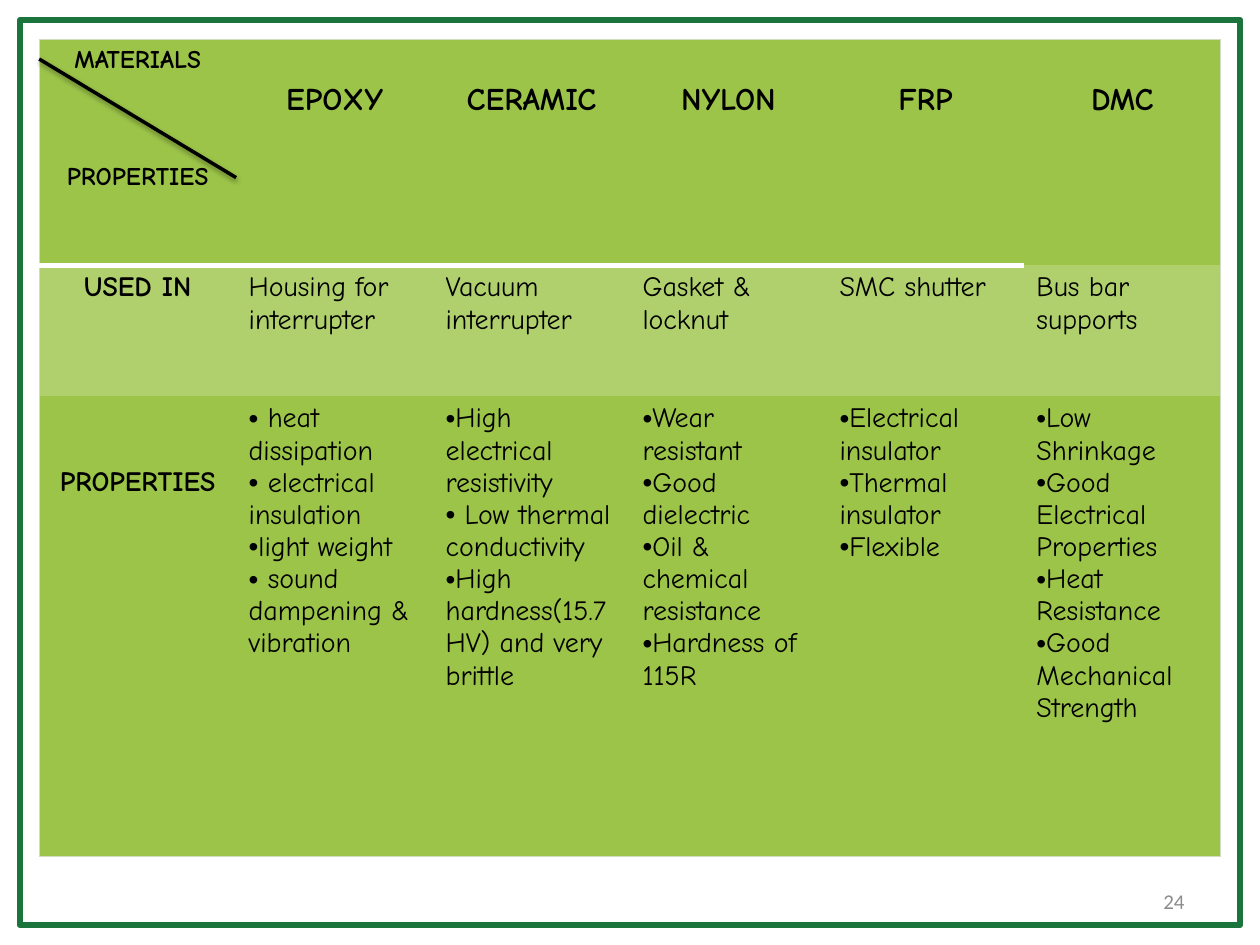
from lxml.etree import SubElement
from pptx import Presentation
from pptx.dml.color import RGBColor
from pptx.enum.shapes import MSO_CONNECTOR, MSO_SHAPE
from pptx.enum.text import MSO_ANCHOR, PP_ALIGN
from pptx.oxml import parse_xml
from pptx.oxml.ns import nsdecls, qn
from pptx.util import Cm, Pt

COLOURS = {
    "frame": "1A743C",
    "green": "9CC449",
    "light green": "B0D06D",
    "edge": "D0DCBF",
    "rule": "FFFFFF",
    "ink": "000000",
    "number": "8C8C8C",
}
NO_STYLE = "{2D5ABB26-0587-4C30-8999-92F81FD0307C}"
LEFT, TOP = 0.79, 0.79
COLUMN_WIDTH = 3.97
ROW_HEIGHTS = [4.56, 2.64, 9.28]

MATERIALS = ["EPOXY", "CERAMIC", "NYLON", "FRP", "DMC"]
USES = ["Housing for interrupter", "Vacuum interrupter", "Gasket & locknut",
        "SMC shutter", "Bus bar supports"]
PROPERTIES = [
    [" heat dissipation", " electrical insulation ", "light weight",
     " sound dampening & vibration"],
    ["High electrical resistivity", " Low thermal conductivity",
     "High hardness(15.7 HV) and very brittle"],
    ["Wear resistant", "Good dielectric", "Oil & chemical resistance",
     "Hardness of 115R"],
    ["Electrical insulator", "Thermal insulator", "Flexible"],
    ["Low Shrinkage", "Good Electrical Properties", "Heat Resistance",
     "Good Mechanical Strength"],
]


def colour(name):
    return RGBColor.from_string(COLOURS[name])


class SlideBuilder:
    def __init__(self, page, font="Comic Neue"):
        self.page = page
        self.font = font

    def style(self, paragraph, size, bold=False, ink="ink", font=None):
        for span in paragraph.runs:
            span.font.name = font or self.font
            span.font.size = Pt(size)
            span.font.bold = bold
            span.font.color.rgb = colour(ink)

    def frame(self, left, top, width, height):
        box = self.page.shapes.add_shape(
            MSO_SHAPE.RECTANGLE, Cm(left), Cm(top), Cm(width), Cm(height))
        box.shadow.inherit = False
        box.fill.background()
        box.line.color.rgb = colour("frame")
        box.line.width = Pt(3.5)

    def page_number(self, text, left, top, width, height):
        box = self.page.shapes.add_textbox(Cm(left), Cm(top), Cm(width), Cm(height))
        text_frame = box.text_frame
        text_frame.word_wrap = True
        text_frame.vertical_anchor = MSO_ANCHOR.MIDDLE
        text_frame.text = text
        paragraph = text_frame.paragraphs[0]
        paragraph.alignment = PP_ALIGN.RIGHT
        self.style(paragraph, 12, ink="number", font="Calibri")

    def table(self, left, top, column_width, column_count, row_heights):
        """Add an unstyled table whose rows alternate between the two greens."""
        graphic = self.page.shapes.add_table(
            len(row_heights), column_count, Cm(left), Cm(top),
            Cm(column_width * column_count), Cm(sum(row_heights)))
        table = graphic.table
        table.first_row = table.horz_banding = False
        table._tbl.tblPr.find(qn("a:tableStyleId")).text = NO_STYLE
        for column in table.columns:
            column.width = Cm(column_width)
        for index, (row, height) in enumerate(zip(table.rows, row_heights)):
            row.height = Cm(height)
            for cell in row.cells:
                cell.fill.solid()
                cell.fill.fore_color.rgb = colour("light green" if index % 2 else "green")
        return table

    def borders(self, table):
        """Draw the thin outer edge, and the header rule under all but the last column."""
        last_row, last_column = len(table.rows) - 1, len(table.columns) - 1
        for row in range(last_row + 1):
            for column in range(last_column + 1):
                sides = {}
                if column == 0:
                    sides["lnL"] = ("edge", 0.75)
                if column == last_column:
                    sides["lnR"] = ("edge", 0.75)
                if row == 0:
                    sides["lnT"] = ("edge", 0.75)
                    if column < last_column:
                        sides["lnB"] = ("rule", 3)
                if row == last_row:
                    sides["lnB"] = ("edge", 0.75)
                properties = table.cell(row, column)._tc.get_or_add_tcPr()
                for position, (side, (name, width)) in enumerate(sides.items()):
                    properties.insert(position, parse_xml(
                        f'<a:{side} {nsdecls("a")} w="{Pt(width)}"><a:solidFill>'
                        f'<a:srgbClr val="{COLOURS[name]}"/></a:solidFill></a:{side}>'))

    def cell_text(self, cell, lines, size=16, bold=False, centred=False,
                  bullet=False, margin_top=0.13, gap=0):
        """Fill a cell with one paragraph a line; gap is the points between them."""
        cell.margin_top = Cm(margin_top)
        cell.text_frame.text = "\n".join(lines)
        for index, paragraph in enumerate(cell.text_frame.paragraphs):
            if centred:
                paragraph.alignment = PP_ALIGN.CENTER
            if index and gap:
                paragraph.space_before = Pt(gap)
            if bullet:
                properties = paragraph._p.get_or_add_pPr()
                SubElement(properties, qn("a:buFont"), typeface="Arial")
                SubElement(properties, qn("a:buChar"), char="•")
            self.style(paragraph, size, bold)

    def diagonal(self, left, top, right, bottom):
        line = self.page.shapes.add_connector(
            MSO_CONNECTOR.STRAIGHT, Cm(left), Cm(top), Cm(right), Cm(bottom))
        line.line.color.rgb = colour("ink")
        line.line.width = Pt(2)
        line._element.spPr.append(parse_xml(
            f'<a:effectLst {nsdecls("a")}><a:outerShdw blurRad="{Pt(3.1)}" '
            f'dist="{Pt(1.6)}" dir="5400000" rotWithShape="0">'
            f'<a:srgbClr val="{COLOURS["ink"]}"><a:alpha val="38000"/></a:srgbClr>'
            '</a:outerShdw></a:effectLst>'))


def main():
    deck = Presentation()
    deck.slide_width, deck.slide_height = Cm(25.4), Cm(19.05)
    builder = SlideBuilder(deck.slides.add_slide(deck.slide_layouts[6]))

    builder.frame(0.4, 0.4, 24.6, 18.25)
    builder.page_number("24", 18.21, 17.65, 5.92, 1.02)

    table = builder.table(LEFT, TOP, COLUMN_WIDTH, len(MATERIALS) + 1, ROW_HEIGHTS)
    builder.borders(table)
    heading = {"bold": True, "centred": True}
    builder.cell_text(table.cell(0, 0), ["MATERIALS", "PROPERTIES"],
                      size=14.5, gap=50, **heading)
    builder.cell_text(table.cell(1, 0), ["USED IN"], **heading)
    builder.cell_text(table.cell(2, 0), ["PROPERTIES"], margin_top=1.42, **heading)
    for column, (material, use, properties) in enumerate(
            zip(MATERIALS, USES, PROPERTIES), start=1):
        builder.cell_text(table.cell(0, column), [material],
                          size=18, margin_top=0.87, **heading)
        builder.cell_text(table.cell(1, column), [use])
        builder.cell_text(table.cell(2, column), properties, bullet=True)

    builder.diagonal(LEFT, 1.19, LEFT + COLUMN_WIDTH, 3.58)
    deck.save("out.pptx")


if __name__ == "__main__":
    main()
